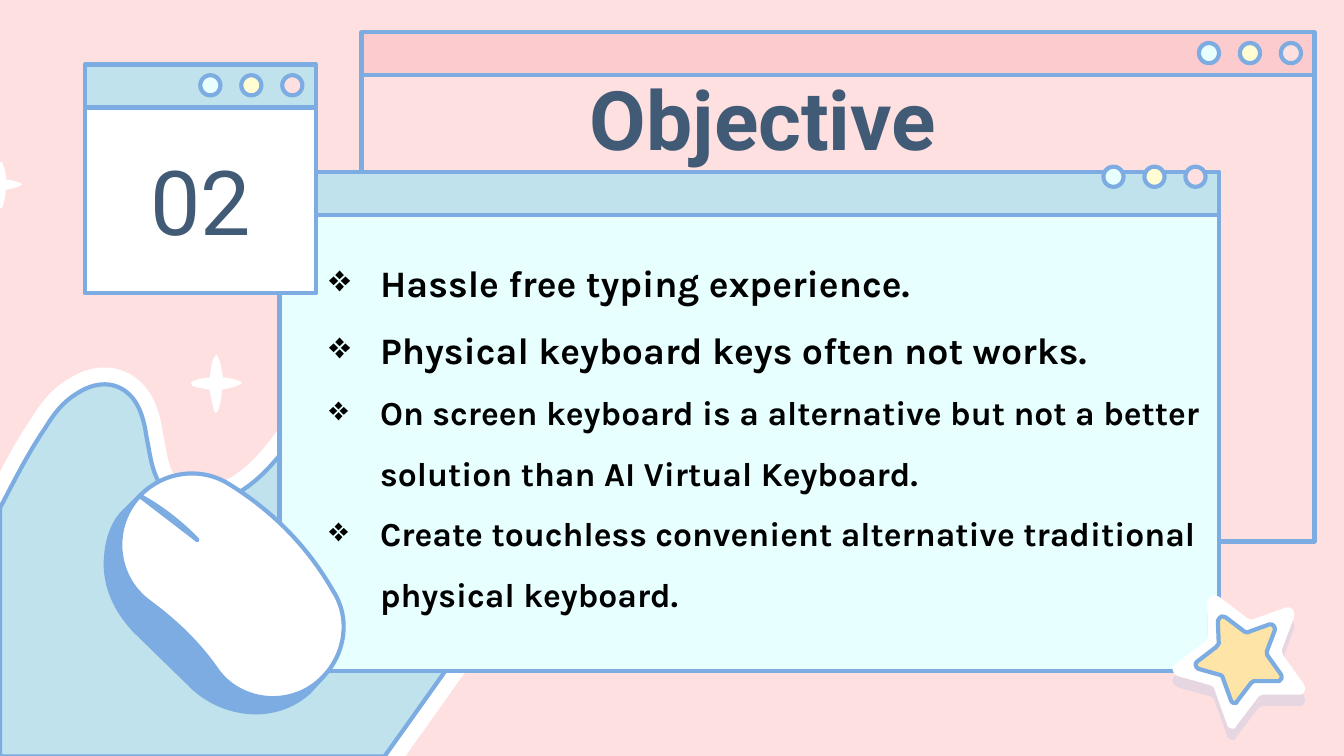
from pptx import Presentation
from pptx.dml.color import RGBColor
from pptx.enum.shapes import MSO_SHAPE
from pptx.enum.text import MSO_ANCHOR, MSO_AUTO_SIZE, PP_ALIGN
from pptx.oxml.ns import qn
from pptx.util import Pt
from lxml.etree import SubElement

PX = 9144  # EMU per px, 100 px to the inch
WIDE, HIGH = 1000, 562.5

THEME = {
    "pink": "FFE0E1", "rose": "FCCBCD", "aqua": "BFE2EC", "ice": "E7FFFF",
    "cream": "FFFDD1", "gold": "FEE4A7", "mint": "BDFFFF", "white": "FFFFFF",
    "blue": "7CACE1", "navy": "415A75", "black": "000000",
    "head": "Roboto", "body": "Karla",
    "title": 44, "number": 48, "large": 20, "small": 18,
    "line": 2.25, "halo": 18,
}

# Content
TITLE = [("Objective", "title")]
NUMBER = [("02", "number")]
POINTS = [
    ("Hassle free typing experience.", "large"),
    ("Physical keyboard keys often not works.", "large"),
    ("On screen keyboard is a alternative but not a better solution "
     "than AI Virtual Keyboard.", "small"),
    ("Create touchless convenient alternative traditional physical keyboard.",
     "small"),
]

# Windows: left, top, width, body height, bar colour, body colour, dot drop
BAR, DOT, STEP, EDGE = 32, 15, 30.5, 25
WINDOWS = [
    (269, 24, 709, 347, "rose", "pink", 8),
    (208, 128, 699, 339, "aqua", "ice", -4),
    (63, 48, 172, 138, "aqua", "white", 8),
]
DOTS = ["ice", "cream", "pink"]

# Outlines: a start, then lines (2 numbers) or curves (6 numbers)
MAT = """333 247, 304 247 275 260 254 280, 228 305 213 342 183 363,
    173 370 160 375 148 375, 139 375 130 372 123 365, 113 355 112 339 109 325,
    107 311 103 296 90 289, 86 287 82 286 78 286, 70 286 63 289 57 293,
    47 299 40 308 34 318, 21 337 11 357 0 378, 0 563, 286 563,
    321 514 356 465 390 415, 406 392 422 368 425 341, 428 302 400 264 362 252,
    353 249 343 247 333 247"""
SPARK = """161 264, 160 264 160 264 160 265, 157 269 157 275 156 281,
    152 281 147 282 143 284, 142 284 142 286 143 287, 147 289 152 289 156 290,
    157 296 159 306 160 307, 160 307 161 307 161 307, 161 307 162 306 162 306,
    164 301 165 295 165 290, 170 289 175 288 179 286, 180 285 180 284 179 284,
    175 282 170 281 166 281, 165 275 164 269 162 265, 162 264 161 264 161 264"""
SIDE = """105 368, 241 503, 230 515, 220 524 208 529 194 530,
    174 531 154 523 140 508, 100 469, 86 454 77 435 79 414,
    80 401 84 388 94 379"""
SHELL = """105 368, 122 351 149 347 170 360, 201 379 228 405 248 440,
    261 460 257 487 240 504, 218 527 179 524 161 498, 147 478 130 462 111 448,
    85 429 82 391 105 368"""
SLIT = "104 369, 104 369 126 380 147 402"
STAR = """902 443, 903 443 905 443 907 444, 928 460, 929 461 931 461 932 461,
    957 452, 961 451 964 455 963 459, 954 483, 954 485 954 487 955 488,
    970 509, 972 512 971 516 968 517, 968 517 967 517 966 517, 940 517,
    939 517 939 517 939 517, 938 517 937 518 936 519, 920 540,
    920 541 919 541 919 542, 916 543 913 541 913 539, 904 514,
    904 512 903 511 901 510, 876 503, 872 501 871 496 875 494, 896 478,
    898 477 898 476 899 474, 898 448, 899 446 900 444 902 443"""


def emu(*nums):
    return [round(n * PX) for n in nums]


def tint(name):
    return RGBColor.from_string(THEME[name])


def paint(shape, fill=None, line=None, width="line"):
    shape.shadow.inherit = False
    for part, name in ((shape.fill, fill), (shape.line.fill, line)):
        if name:
            part.solid()
            part.fore_color.rgb = tint(name)
        else:
            part.background()
    if line:
        shape.line.width = Pt(THEME[width])
    return shape


def block(kind, box, fill):
    return paint(shapes.add_shape(kind, *emu(*box)), fill, "blue")


def trace(text, fill=None, line=None, width="line", mid=(0, 0), scale=1,
          move=(0, 0), close=True):
    """Draw an outline, scaled about mid and then moved."""
    parts = []
    for part in text.split(","):
        nums = [int(n) for n in part.split()]
        parts.append([emu(*(m + (n - m) * scale + s
                            for n, m, s in zip(pair, mid, move)))
                      for pair in zip(nums[::2], nums[1::2])])
    start, *segs = parts
    pen = shapes.build_freeform(*start[0], scale=1.0)
    pen.add_line_segments([dot for seg in segs for dot in seg], close=close)
    shape = pen.convert_to_shape()
    # Fold each run of three points into one curve
    steps = iter(list(shape._element.iter(qn("a:lnTo"))))
    for seg in segs:
        nodes = [next(steps) for _ in seg]
        if len(nodes) == 3:
            nodes[0].tag
            curve = SubElement(nodes[0].getparent(), qn("a:cubicBezTo"))
            nodes[0].addprevious(curve)
            for node in nodes:
                curve.append(node[0])
                node.getparent().remove(node)
    return paint(shape, fill, line, width)


def write(rows, box, font="head", color="navy", bold=False, bullet=None,
          align=PP_ALIGN.CENTER, anchor=MSO_ANCHOR.MIDDLE, pad=10,
          space=None, before=None, grow=False):
    frame = shapes.add_textbox(*emu(*box)).text_frame
    frame.word_wrap = True
    frame.vertical_anchor = anchor
    frame.auto_size = (MSO_AUTO_SIZE.SHAPE_TO_FIT_TEXT if grow
                       else MSO_AUTO_SIZE.NONE)
    frame.margin_top = frame.margin_bottom = emu(pad)[0]
    for i, (text, size) in enumerate(rows):
        para = frame.add_paragraph() if i else frame.paragraphs[0]
        para.alignment = align
        para.line_spacing = space
        para.space_before = before
        run = para.add_run()
        run.text = text
        run.font.name = THEME[font]
        run.font.size = Pt(THEME[size])
        run.font.bold = bold
        run.font.color.rgb = tint(color)
        if bullet:
            props = para._p.get_or_add_pPr()
            props.set("marL", str(38 * PX))
            props.set("indent", str(-38 * PX))
            ink = SubElement(props, qn("a:buClr"))
            SubElement(ink, qn("a:srgbClr"), val=THEME[color])
            SubElement(props, qn("a:buChar"), char=bullet)


deck = Presentation()
deck.slide_width, deck.slide_height = emu(WIDE, HIGH)
slide = deck.slides.add_slide(deck.slide_layouts[6])
shapes = slide.shapes
slide.background.fill.solid()
slide.background.fill.fore_color.rgb = tint("pink")

# Mat and sparkles
trace(MAT, "aqua", "white", "halo")
trace(MAT, "aqua", "blue")
trace(SPARK, "white", mid=(161, 286), scale=0.81, move=(-160, -148))
trace(SPARK, "white")

# Windows
for left, top, width, height, bar, body, drop in WINDOWS:
    block(MSO_SHAPE.RECTANGLE, (left, top + BAR, width, height), body)
    head = block(MSO_SHAPE.ROUND_2_SAME_RECTANGLE, (left, top, width, BAR), bar)
    head.adjustments[0] = head.adjustments[1] = 0
    first = left + width - EDGE - STEP * (len(DOTS) - 1)
    for i, name in enumerate(DOTS):
        block(MSO_SHAPE.OVAL, (first + i * STEP, top + drop, DOT, DOT), name)

# Mouse
trace(SIDE, "blue", "blue")
trace(SHELL, "white", "blue")
trace(SLIT, "mint", "blue")
trace(SLIT, line="blue", close=False)

# Star with its shadow
star = trace(STAR, "white")
glow = SubElement(star._element.spPr.find(qn("a:effectLst")),
                  qn("a:outerShdw"), dist=str(Pt(6)), dir="5400000",
                  algn="bl", rotWithShape="0")
ink = SubElement(glow, qn("a:srgbClr"), val=THEME["blue"])
SubElement(ink, qn("a:alpha"), val="19000")
trace(STAR, "gold", "blue", mid=(921.5, 488), scale=0.65)

# Text
write(TITLE, (240, 69, 656, 65), bold=True, anchor=MSO_ANCHOR.BOTTOM)
write(POINTS, (235, 172, 672, 353), font="body", color="black", bold=True,
      bullet="❖", align=PP_ALIGN.LEFT, anchor=MSO_ANCHOR.TOP, pad=5,
      space=1.5, grow=True)
write(NUMBER, (96, 98, 107, 101), before=Pt(10))

deck.save("out.pptx")
